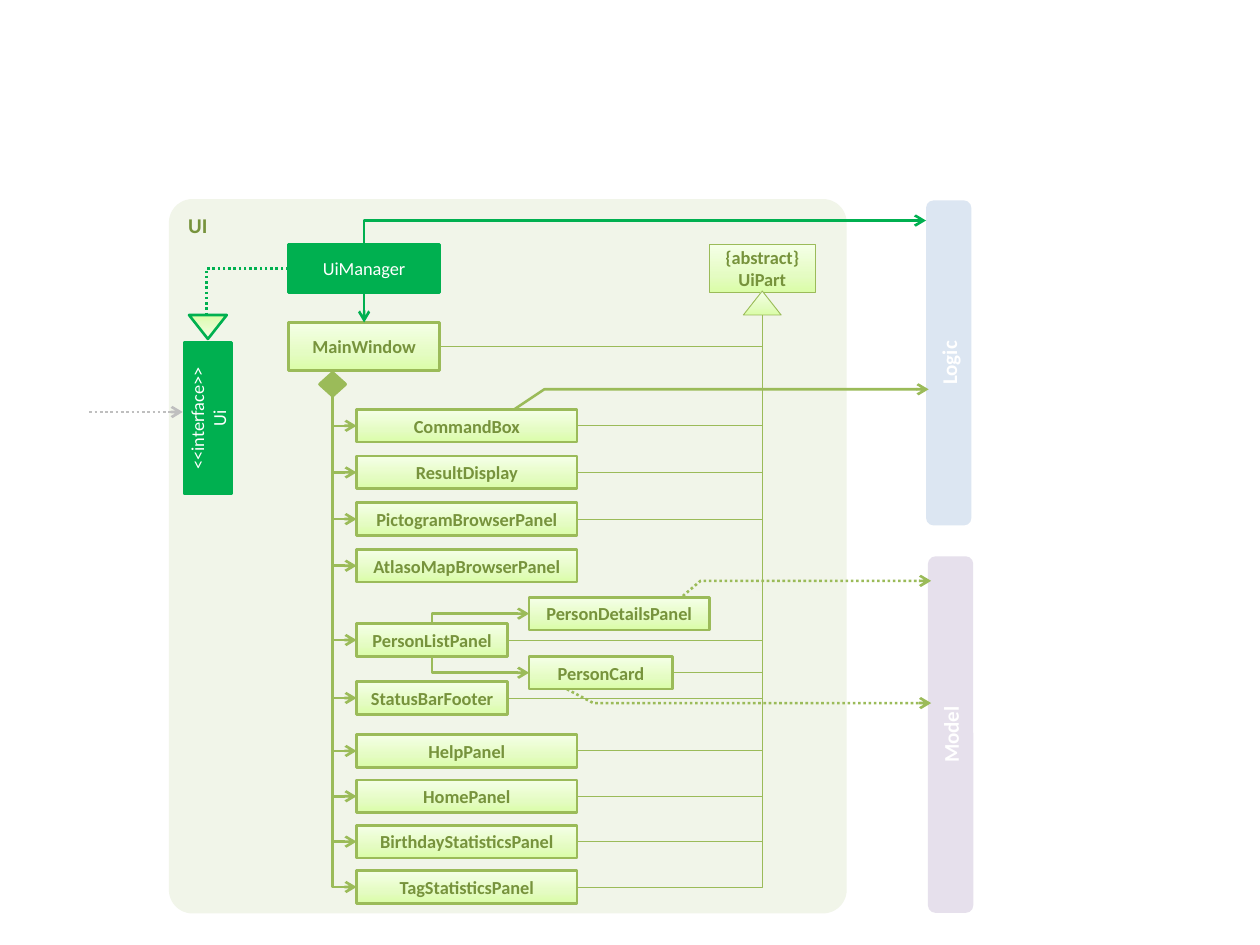
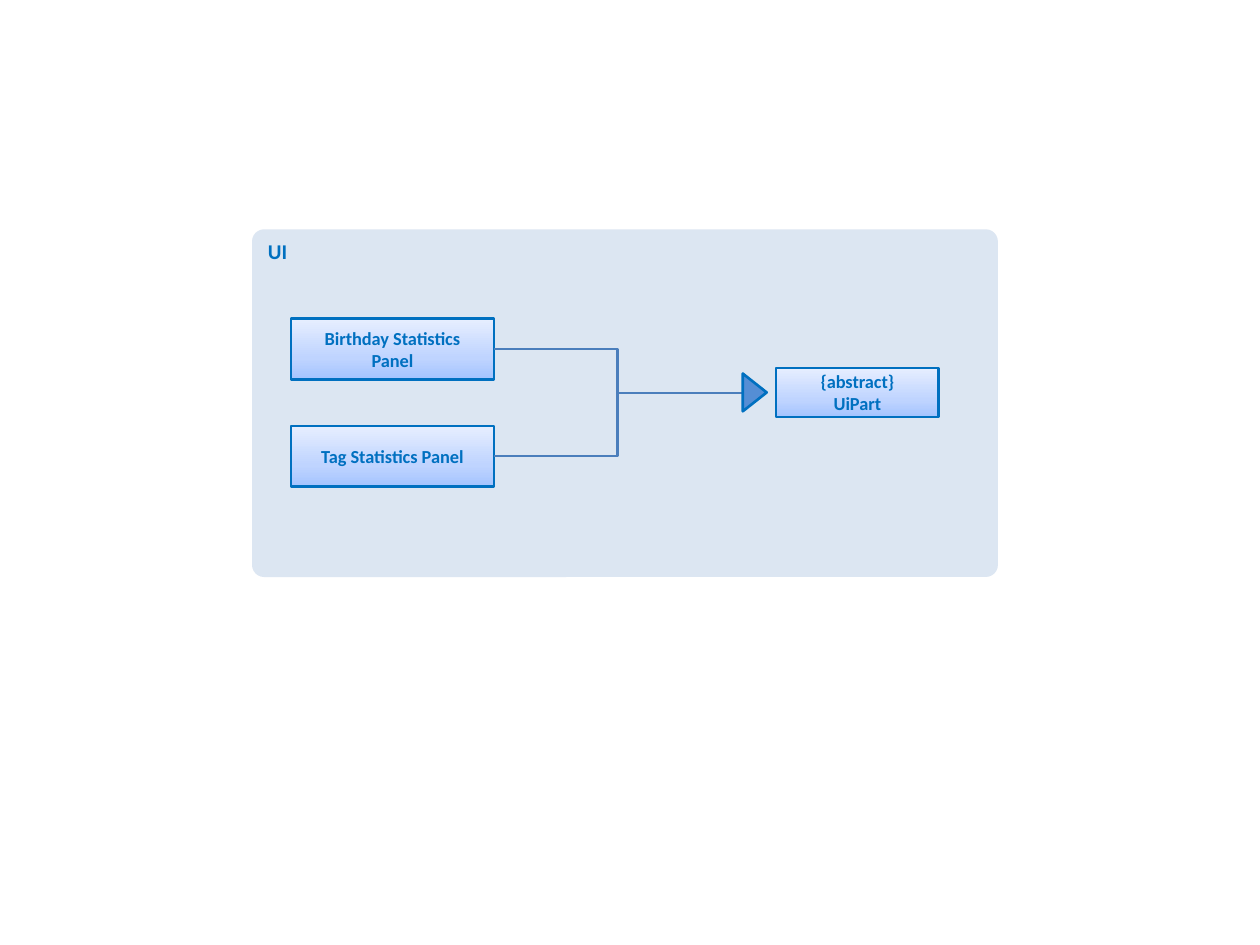
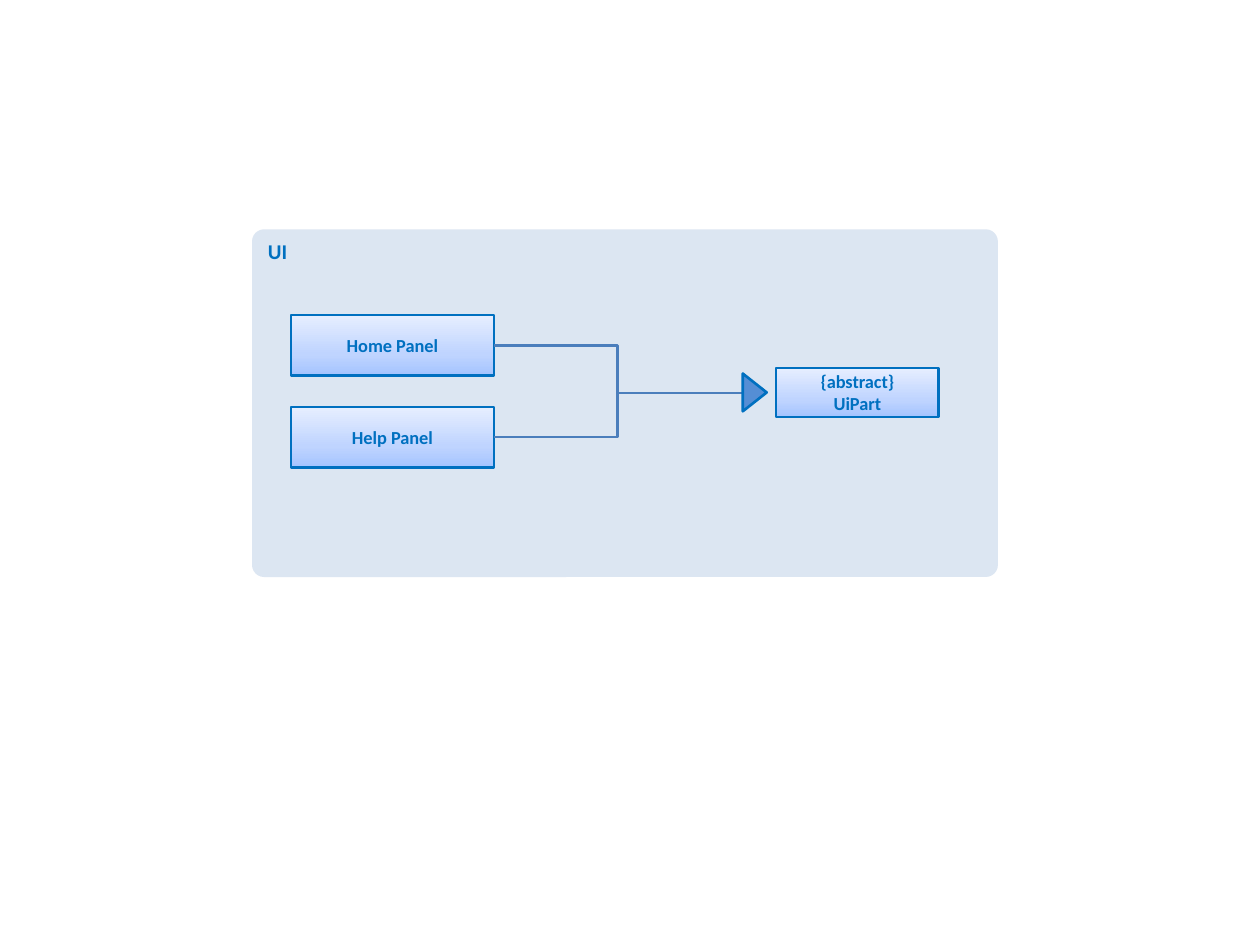
"""Build three UI class diagrams: the overall structure and two panel hierarchies."""
from dataclasses import dataclass

from lxml import etree
from pptx import Presentation
from pptx import util as u
from pptx.dml.color import RGBColor
from pptx.enum import dml, shapes, text
from pptx.oxml.ns import qn


@dataclass(frozen=True)
class Theme:
    font: str = "Calibri"
    title: float = 12
    label: float = 10.5
    thin: float = 0.5
    thick: float = 1.5
    white: str = "FFFFFF"
    grey: str = "BFBFBF"
    green: str = "00B050"
    olive: str = "9BBB59"
    olive_text: str = "77933C"
    olive_panel: str = "F1F5E9"
    olive_mask: str = "EBF1DE"
    olive_fade: tuple = ("DAFDA7", "E4FCC2", "F5FFE7")
    logic: str = "DCE6F2"
    model: str = "E6E0EC"
    blue: str = "0070C0"
    blue_wire: str = "4B7EBC"
    blue_arrow: str = "558ED5"
    blue_fade: tuple = ("A4C4FF", "BFD4FF", "E6EEFF")


T = Theme()
S = shapes.MSO_SHAPE
TOP, LEFT, BOTTOM, RIGHT = range(4)

prs = Presentation()
prs.slide_width, prs.slide_height = u.Inches(10), u.Inches(7.5)
COL, ROW = prs.slide_width / 10, prs.slide_height / 7.5


def box(slide, at, fill, line=None, label="", ink=T.white, bold=True, weight=T.thick,
        kind=S.RECTANGLE, turn=0, title=False):
    x, y, w, h = at
    sp = slide.shapes.add_shape(kind, int(x * COL), int(y * ROW), int(w * COL), int(h * ROW))
    sp.shadow.inherit = False
    sp.rotation = turn
    if isinstance(fill, tuple):
        sp.fill.gradient()
        sp.fill.gradient_angle = 90
        stops = next(sp._element.iter(qn("a:gsLst")))
        stops.clear()
        for pos, color in zip((0, 35000, 100000), fill):
            gs = etree.SubElement(stops, qn("a:gs"), pos=str(pos))
            etree.SubElement(gs, qn("a:srgbClr"), val=color)
    else:
        sp.fill.solid()
        sp.fill.fore_color.rgb = RGBColor.from_string(fill)
    if line:
        sp.line.color.rgb = RGBColor.from_string(line)
        sp.line.width = u.Pt(weight)
    else:
        sp.line.fill.background()
    if label:
        tf = sp.text_frame
        tf.word_wrap = True
        tf.vertical_anchor = text.MSO_ANCHOR.TOP if title else text.MSO_ANCHOR.MIDDLE
        tf.text = label
        for p in tf.paragraphs:
            p.alignment = text.PP_ALIGN.LEFT if title else text.PP_ALIGN.CENTER
            p.font.name, p.font.bold = T.font, bold
            p.font.size = u.Pt(T.title if title else T.label)
            p.font.color.rgb = RGBColor.from_string(ink)
    if title:
        sp.adjustments[0] = 0.035
    return sp


def wire(slide, points, color, weight=T.thick, arrow=None, dotted=False, bent=False):
    if len(points) > 2:
        corners = [(int(x * COL), int(y * ROW)) for x, y in points]
        fb = slide.shapes.build_freeform(*corners[0])
        fb.add_line_segments(corners[1:], close=False)
        sp = fb.convert_to_shape()
        sp.fill.background()
        sp.shadow.inherit = False
    else:
        sp = slide.shapes.add_connector(shapes.MSO_CONNECTOR.STRAIGHT, 0, 0, 0, 0)
        begin, end = points
        if isinstance(begin[0], float):
            sp.begin_x, sp.begin_y = int(begin[0] * COL), int(begin[1] * ROW)
        else:
            sp.begin_connect(*begin)
        if isinstance(end[0], float):
            sp.end_x, sp.end_y = int(end[0] * COL), int(end[1] * ROW)
        else:
            sp.end_connect(*end)
        if bent:
            sp._element.spPr.find(qn("a:prstGeom")).set("prst", "bentConnector2")
    sp.line.color.rgb = RGBColor.from_string(color)
    sp.line.width = u.Pt(weight)
    if dotted:
        sp.line.dash_style = dml.MSO_LINE.ROUND_DOT
    if arrow:
        etree.SubElement(sp.line._get_or_add_ln(), qn("a:" + arrow), type="arrow")
    if len(points) == 2:
        etree.SubElement(sp._element.spPr, qn("a:effectLst"))
    return sp


blank = prs.slide_layouts[6]

slide = prs.slides.add_slide(blank)
box(slide, (1.34, 1.58, 5.38, 5.67), T.olive_panel, label="UI", ink=T.olive_text,
    kind=S.ROUNDED_RECTANGLE, title=True)
for name, at, fill in (("Logic", (6.24, 2.7, 2.58, 0.36), T.logic),
                       ("Model", (6.13, 5.65, 2.83, 0.36), T.model)):
    sp = box(slide, at, fill, label=name, kind=S.ROUNDED_RECTANGLE, turn=270)
    sp.text_frame.paragraphs[0].font.size = u.Pt(T.title)

manager = box(slide, (2.29, 1.94, 1.2, 0.38), T.green, T.green, "UiManager", bold=False)
box(slide, (1.05, 3.13, 1.2, 0.38), T.green, T.green, "<<interface>>\nUi", bold=False, turn=270)
box(slide, (1.5, 2.5, 0.3, 0.19), T.olive_fade, T.green, kind=S.ISOSCELES_TRIANGLE, turn=180)
window = box(slide, (2.29, 2.56, 1.2, 0.38), T.olive_fade, T.olive, "MainWindow", T.olive_text)
diamond = box(slide, (2.54, 2.96, 0.2, 0.18), T.olive, T.olive, weight=2,
              kind=S.FLOWCHART_DECISION)
box(slide, (5.63, 1.94, 0.84, 0.38), T.olive_fade, T.olive, "{abstract}\vUiPart", T.olive_text,
    weight=T.thin)
box(slide, (5.9, 2.31, 0.3, 0.19), T.olive_fade, T.olive, weight=T.thin,
    kind=S.ISOSCELES_TRIANGLE)

groups = (
    (3.25, 0.37, 1.75, ("CommandBox", "ResultDisplay", "PictogramBrowserPanel",
                        "AtlasoMapBrowserPanel")),
    (4.95, 0.46, 1.2, ("PersonListPanel", "StatusBarFooter")),
    (5.83, 0.36, 1.75, ("HelpPanel", "HomePanel", "BirthdayStatisticsPanel",
                        "TagStatisticsPanel")),
)
parts = {}
for top, pitch, width, names in groups:
    for i, name in enumerate(names):
        parts[name] = box(slide, (2.83, top + i * pitch, width, 0.26), T.olive_fade, T.olive,
                          name, T.olive_text)
children = {}
for name, top, width, side in (("PersonDetailsPanel", 4.74, 1.43, TOP),
                               ("PersonCard", 5.21, 1.14, BOTTOM)):
    children[name] = box(slide, (4.2, top, width, 0.26), T.olive_fade, T.olive, name, T.olive_text)
    wire(slide, ((children[name], LEFT), (parts["PersonListPanel"], side)), T.olive,
         arrow="headEnd", bent=True)

for sp in parts.values():
    wire(slide, ((sp, LEFT), (diamond, BOTTOM)), T.olive, arrow="headEnd", bent=True)
heirs = [sp for name, sp in parts.items() if name != "AtlasoMapBrowserPanel"]
for sp in [window, children["PersonCard"], *heirs]:
    wire(slide, ((sp, RIGHT), (6.05, 2.5)), T.olive, T.thin, bent=True)

wire(slide, ((manager, BOTTOM), (window, TOP)), T.green, arrow="tailEnd")
wire(slide, ((7.35, 1.75), (manager, TOP)), T.green, arrow="headEnd", bent=True)
wire(slide, ((manager, LEFT), (1.64, 2.5)), T.green, dotted=True, bent=True)
wire(slide, ((0.71, 3.27), (1.45, 3.27)), T.grey, arrow="tailEnd", dotted=True)

for mask, points, dotted in (
    ((5.94, 3.0), ((4.08, 3.25), (4.32, 3.09), (7.37, 3.09)), False),
    ((5.94, 5.49), ((4.5, 5.47), (4.71, 5.58), (7.39, 5.58)), True),
    ((5.9, 4.56), ((5.42, 4.73), (5.56, 4.61), (7.39, 4.61)), True),
):
    sp = box(slide, (*mask, 0.25, 0.18), T.olive_mask)
    etree.SubElement(next(sp._element.spPr.iter(qn("a:srgbClr"))), qn("a:alpha"), val="80000")
    etree.SubElement(sp._element.spPr.find(qn("a:effectLst")), qn("a:softEdge"),
                     rad=str(u.Pt(5)))
    wire(slide, points, T.olive, arrow="tailEnd", dotted=dotted)

for panels in ((("Birthday Statistics Panel", 2.53), ("Tag Statistics Panel", 3.38)),
               (("Home Panel", 2.5), ("Help Panel", 3.23))):
    slide = prs.slides.add_slide(blank)
    box(slide, (2, 1.82, 5.92, 2.76), T.logic, label="UI", ink=T.blue,
        kind=S.ROUNDED_RECTANGLE, title=True)
    for name, top in panels:
        sp = box(slide, (2.31, top, 1.61, 0.48), T.blue_fade, T.blue, name, T.blue)
        wire(slide, ((sp, RIGHT), (4.9, 3.12)), T.blue_wire, bent=True)
    wire(slide, ((4.9, 3.12), (5.89, 3.12)), T.blue_wire)
    box(slide, (5.84, 3.02, 0.3, 0.19), T.blue_arrow, T.blue, kind=S.ISOSCELES_TRIANGLE, turn=90)
    box(slide, (6.16, 2.92, 1.29, 0.39), T.blue_fade, T.blue, "{abstract}\nUiPart", T.blue)

prs.save("out.pptx")
